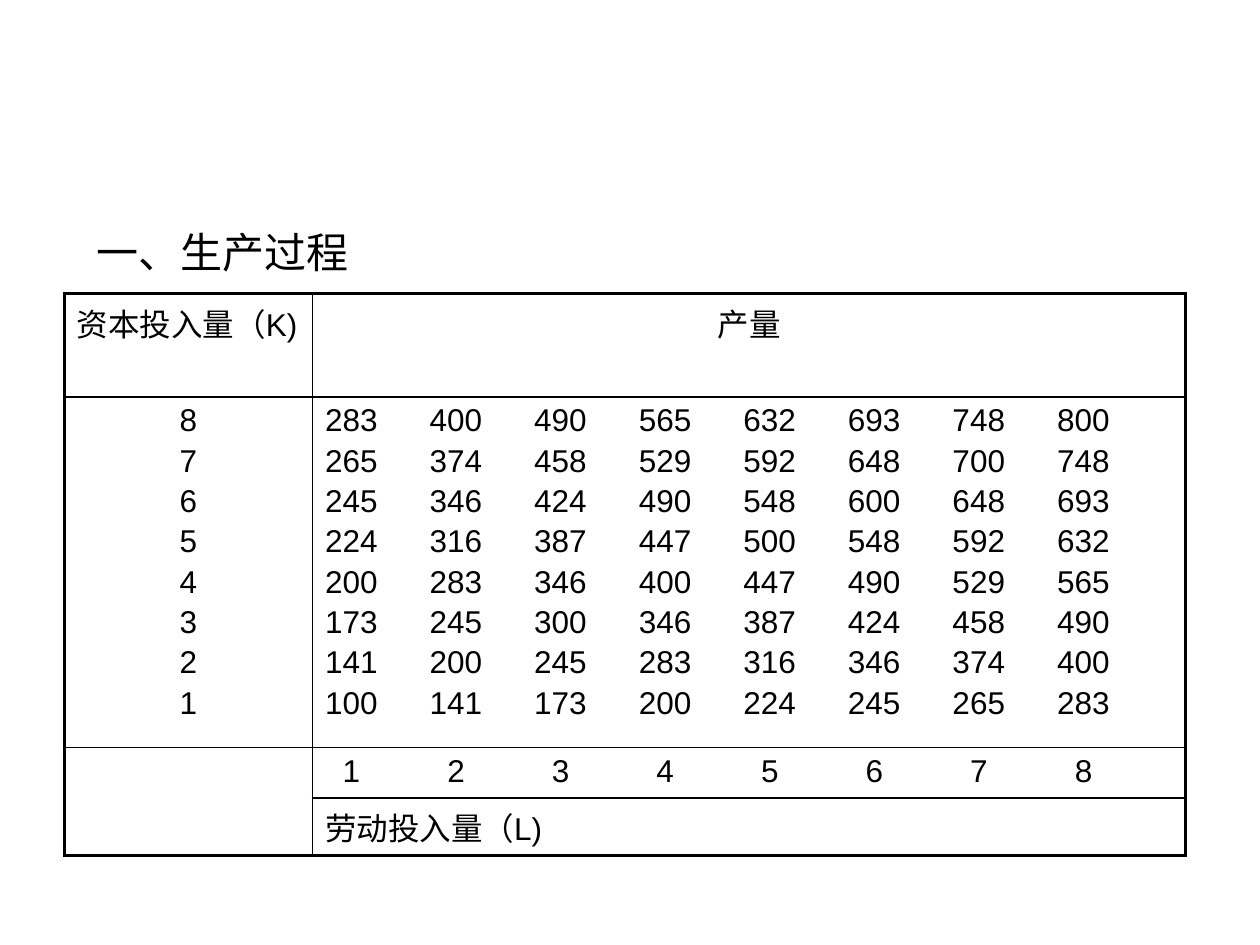
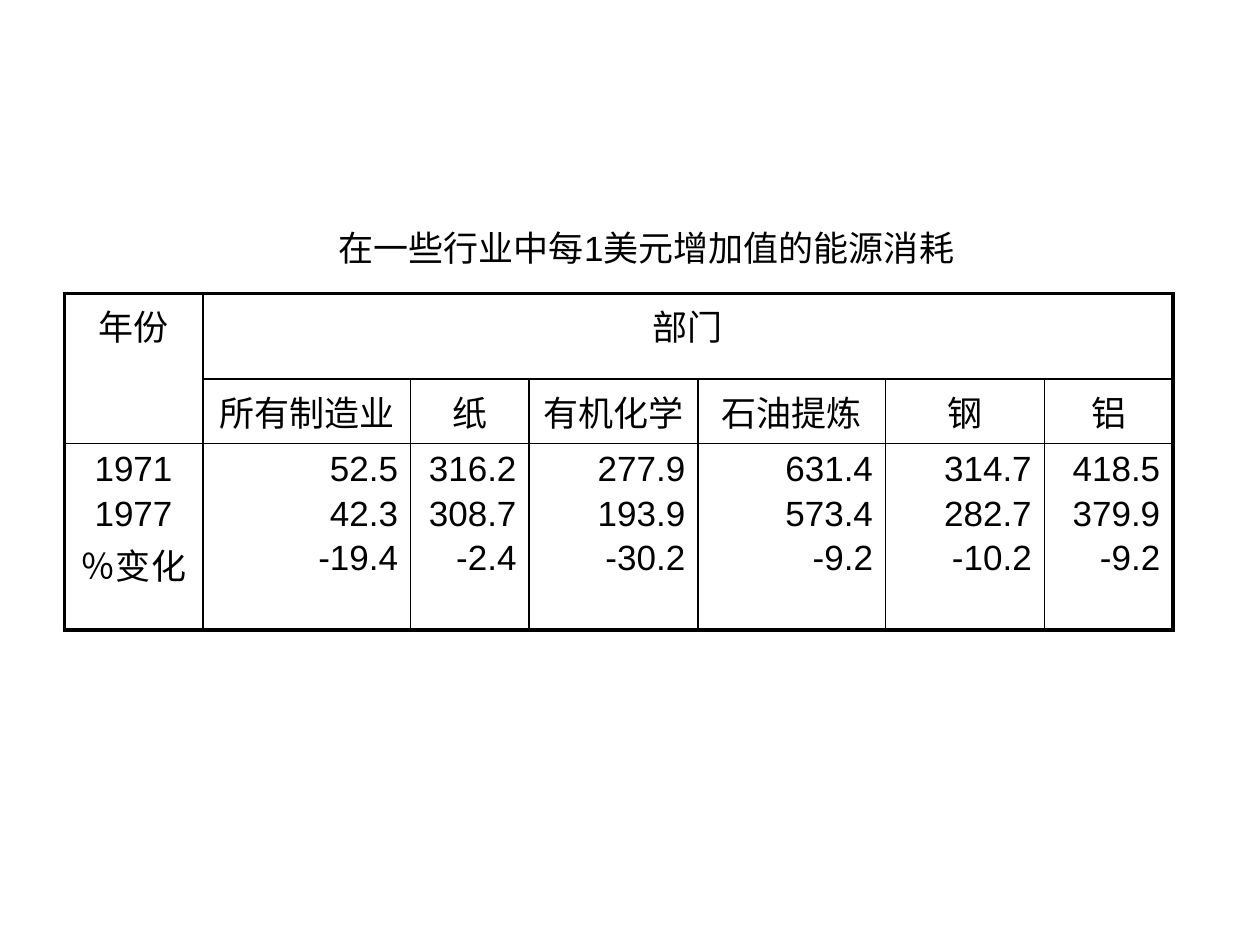
from dataclasses import dataclass

from lxml.etree import SubElement
from pptx import Presentation
from pptx.dml.color import RGBColor
from pptx.enum.text import PP_ALIGN as Align
from pptx.oxml.ns import qn
from pptx.util import Inches, Pt


@dataclass(frozen=True)
class Theme:
    font: str = "Arial"
    ink: str = "000000"
    heading_size: int = 24
    caption_size: int = 20
    production_size: int = 18
    energy_size: int = 20
    line_gap: float = 0.16  # space between paragraphs, share of type size
    frame: float = 2.25
    rule: float = 1


THEME = Theme()

# Shared regions: left, top and width in inches
TITLE_BOX = (0.67, 1.75, 8.92, 0.55)
TABLE_ORIGIN = (0.51, 2.33)

OUTPUT_PITCH = 0.83
LABEL_OFFSET = 0.21  # middle of a three-digit output figure

CAPITAL = range(8, 0, -1)
OUTPUT = [
    (283, 400, 490, 565, 632, 693, 748, 800),
    (265, 374, 458, 529, 592, 648, 700, 748),
    (245, 346, 424, 490, 548, 600, 648, 693),
    (224, 316, 387, 447, 500, 548, 592, 632),
    (200, 283, 346, 400, 447, 490, 529, 565),
    (173, 245, 300, 346, 387, 424, 458, 490),
    (141, 200, 245, 283, 316, 346, 374, 400),
    (100, 141, 173, 200, 224, 245, 265, 283),
]
PERIODS = ["1971", "1977", "％变化"]
ENERGY_USE = {
    "所有制造业": ("52.5", "42.3", "-19.4"),
    "纸": ("316.2", "308.7", "-2.4"),
    "有机化学": ("277.9", "193.9", "-30.2"),
    "石油提炼": ("631.4", "573.4", "-9.2"),
    "钢": ("314.7", "282.7", "-10.2"),
    "铝": ("418.5", "379.9", "-9.2"),
}


def add_tabs(paragraph, stops, kind):
    tab_list = SubElement(paragraph._p.get_or_add_pPr(), qn("a:tabLst"))
    for stop in stops:
        SubElement(tab_list, qn("a:tab"), pos=str(Inches(stop)), algn=kind)


def write(frame, lines, size, align=Align.LEFT, tabs=(), tab_kind="l"):
    """Fill a text frame, one paragraph per line."""
    for number, line in enumerate(lines):
        paragraph = frame.add_paragraph() if number else frame.paragraphs[0]
        if tabs:
            add_tabs(paragraph, tabs, tab_kind)
        paragraph.alignment = align
        if number:
            paragraph.space_before = Pt(size * THEME.line_gap)
        run = paragraph.add_run()
        run.text = str(line)
        run.font.name = THEME.font
        run.font.size = Pt(size)
        run.font.color.rgb = RGBColor.from_string(THEME.ink)


def add_title(slide, box, title, size, align=Align.LEFT):
    frame = slide.shapes.add_textbox(*map(Inches, box)).text_frame
    frame.word_wrap = True
    write(frame, [title], size, align)


def add_grid(slide, origin, widths, heights):
    box = map(Inches, (*origin, sum(widths), sum(heights)))
    table = slide.shapes.add_table(len(heights), len(widths), *box).table
    table.first_row = table.horz_banding = False
    for column, width in zip(table.columns, widths):
        column.width = Inches(width)
    for row, height in zip(table.rows, heights):
        row.height = Inches(height)
    return table


def rule_grid(table):
    """Heavy outer frame, thin inner rules; call after merging."""
    last_row, last_column = len(table.rows), len(table.columns)
    for r in range(last_row):
        for c in range(last_column):
            cell = table.cell(r, c)
            wide = cell.span_width if cell.is_merge_origin else 1
            tall = cell.span_height if cell.is_merge_origin else 1
            outer = {
                "L": c == 0,
                "R": c + wide == last_column,
                "T": r == 0,
                "B": r + tall == last_row,
            }
            properties = cell._tc.get_or_add_tcPr()
            for side, is_outer in outer.items():
                weight = THEME.frame if is_outer else THEME.rule
                line = SubElement(properties, qn(f"a:ln{side}"), w=str(Pt(weight)))
                fill = SubElement(line, qn("a:solidFill"))
                SubElement(fill, qn("a:srgbClr"), val=THEME.ink)
            cell.fill.background()


def production_table(slide, origin):
    table = add_grid(slide, origin, [1.97, 6.93], [0.82, 2.68, 0.39, 0.46])
    table.cell(2, 0).merge(table.cell(3, 0))
    rule_grid(table)
    size = THEME.production_size
    columns = range(len(OUTPUT[0]))

    def put(row, column, lines, **style):
        write(table.cell(row, column).text_frame, lines, size, **style)

    # Headings
    put(0, 0, ["资本投入量（K)"])
    put(0, 1, ["产量"], align=Align.CENTER)
    # Output for each amount of capital
    put(1, 0, CAPITAL, align=Align.CENTER)
    put(1, 1, ["\t".join(map(str, row)) for row in OUTPUT],
        tabs=[OUTPUT_PITCH * n for n in columns[1:]])
    # Labour axis, centred below the output figures
    put(2, 1, ["".join(f"\t{n + 1}" for n in columns)],
        tabs=[LABEL_OFFSET + OUTPUT_PITCH * n for n in columns], tab_kind="ctr")
    put(3, 1, ["劳动投入量（L)"])


def energy_table(slide, origin):
    widths = [1.1, 1.65, 0.94, 1.34, 1.49, 1.26, 1.02]
    table = add_grid(slide, origin, widths, [0.68, 0.51, 1.48])
    table.cell(0, 0).merge(table.cell(1, 0))
    table.cell(0, 1).merge(table.cell(0, len(ENERGY_USE)))
    rule_grid(table)

    def put(row, column, lines, align=Align.CENTER):
        write(table.cell(row, column).text_frame, lines, THEME.energy_size, align)

    # Headings and periods
    put(0, 0, ["年份"])
    put(0, 1, ["部门"])
    put(2, 0, PERIODS)
    # One column per sector
    for column, (sector, figures) in enumerate(ENERGY_USE.items(), 1):
        put(1, column, [sector])
        put(2, column, figures, Align.RIGHT)


def main():
    deck = Presentation()
    deck.slide_width, deck.slide_height = Inches(10), Inches(7.5)
    blank = deck.slide_layouts[6]

    production = deck.slides.add_slide(blank)
    add_title(production, TITLE_BOX, "一、生产过程", THEME.heading_size)
    production_table(production, TABLE_ORIGIN)

    energy = deck.slides.add_slide(blank)
    add_title(energy, TITLE_BOX, "在一些行业中每1美元增加值的能源消耗",
              THEME.caption_size, Align.CENTER)
    energy_table(energy, TABLE_ORIGIN)

    deck.save("out.pptx")


if __name__ == "__main__":
    main()
